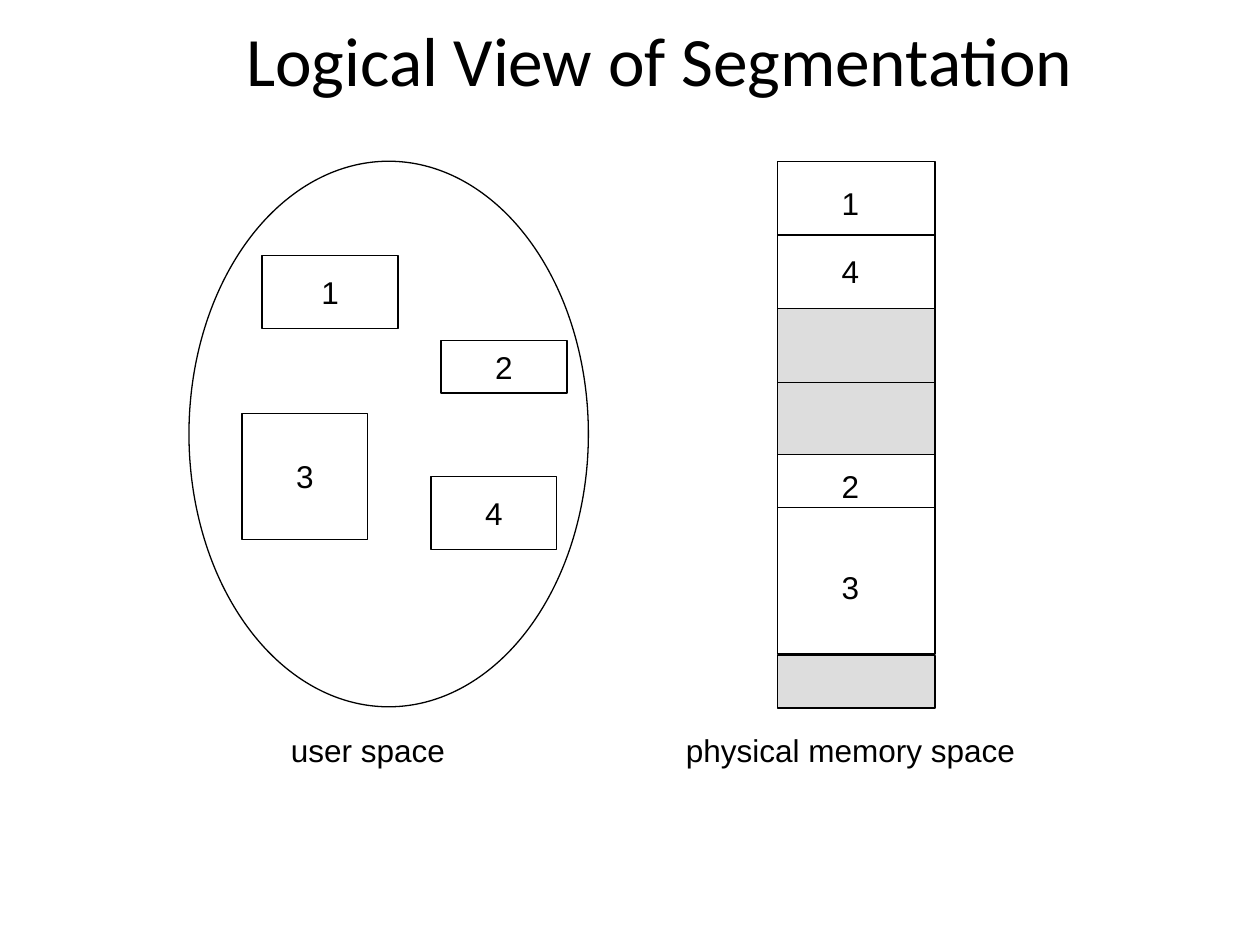
from pptx import Presentation
from pptx.dml.color import RGBColor
from pptx.enum.shapes import MSO_CONNECTOR, MSO_SHAPE
from pptx.enum.text import MSO_ANCHOR, MSO_AUTO_SIZE, PP_ALIGN
from pptx.oxml.ns import qn
from pptx.util import Inches, Pt
from lxml import etree

BLACK, WHITE, GREY = "000000", "FFFFFF", "DDDDDD"


def write(sp, text, size=18, font="Arial", color=BLACK, wrap=False, fit=MSO_AUTO_SIZE.NONE):
    tf = sp.text_frame
    tf.word_wrap = wrap
    tf.auto_size = fit
    tf.vertical_anchor = MSO_ANCHOR.MIDDLE
    p = tf.paragraphs[0]
    p.alignment = PP_ALIGN.CENTER
    r = p.add_run()
    r.text = text
    r.font.size = Pt(size)
    r.font.name = font
    r.font.color.rgb = RGBColor.from_string(color)


def add_box(shapes, x, y, w, h, fill=WHITE, kind=MSO_SHAPE.RECTANGLE):
    sp = shapes.add_shape(kind, Inches(x), Inches(y), Inches(w), Inches(h))
    sp.shadow.inherit = False
    sp.fill.solid()
    sp.fill.fore_color.rgb = RGBColor.from_string(fill)
    sp.line.color.rgb = RGBColor.from_string(BLACK)
    sp.line.width = Pt(0.75)
    return sp


prs = Presentation()
prs.slide_width, prs.slide_height = Inches(10), Inches(7.5)
s = prs.slides.add_slide(prs.slide_layouts[5])

# Title
title = s.shapes.title
title.left, title.top = Inches(0.97), Inches(0.15)
title.width, title.height = Inches(8.53), Inches(0.63)
write(title, "Logical View of Segmentation", size=39.6, font="Calibri", wrap=True)

# User space: segments inside an ellipse
add_box(s.shapes, 1.5, 1.28, 3.17, 4.33, kind=MSO_SHAPE.OVAL)
segments = [
    ("1", 2.08, 2.03, 1.08, 0.58),
    ("3", 1.92, 3.28, 1, 1),
    ("2", 3.5, 2.7, 1, 0.42),
    ("4", 3.42, 3.78, 1, 0.58),
]
for text, x, y, w, h in segments:
    write(add_box(s.shapes, x, y, w, h), text)

# Physical memory: stacked blocks, some split by a line
memory = s.shapes.add_group_shape().shapes
MEM_X, MEM_W = 6.17, 1.25
blocks = [  # top, height, fill, dividing line
    (1.28, 1.17, WHITE, "middle"),
    (2.45, 1.17, GREY, "middle"),
    (3.61, 1.58, WHITE, 4.03),
    (5.2, 0.42, GREY, None),
]
for top, height, fill, divider in blocks:
    block = add_box(memory, MEM_X, top, MEM_W, height, fill)
    if divider is None:
        continue
    y = top + height / 2 if divider == "middle" else divider
    line = memory.add_connector(MSO_CONNECTOR.STRAIGHT, Inches(MEM_X), Inches(y),
                                Inches(MEM_X + MEM_W), Inches(y))
    if divider == "middle":
        line.begin_connect(block, 1)
        line.end_connect(block, 3)
    line.line.color.rgb = RGBColor.from_string(BLACK)
    line.line.width = Pt(0.75)
    etree.SubElement(line._element.spPr, qn("a:effectLst"))

# Segment numbers in memory, then the captions
labels = [(memory, text, 6.58, y, 0.34)
          for text, y in [("1", 1.41), ("4", 1.95), ("2", 3.66), ("3", 4.46)]]
labels += [
    (s.shapes, "user space ", 2.2, 5.75, 1.51),
    (s.shapes, "physical memory space", 5.33, 5.75, 2.84),
]
for shapes, text, x, y, w in labels:
    tb = shapes.add_textbox(Inches(x), Inches(y), Inches(w), Inches(0.4))
    write(tb, text, fit=MSO_AUTO_SIZE.SHAPE_TO_FIT_TEXT)

prs.save("out.pptx")
